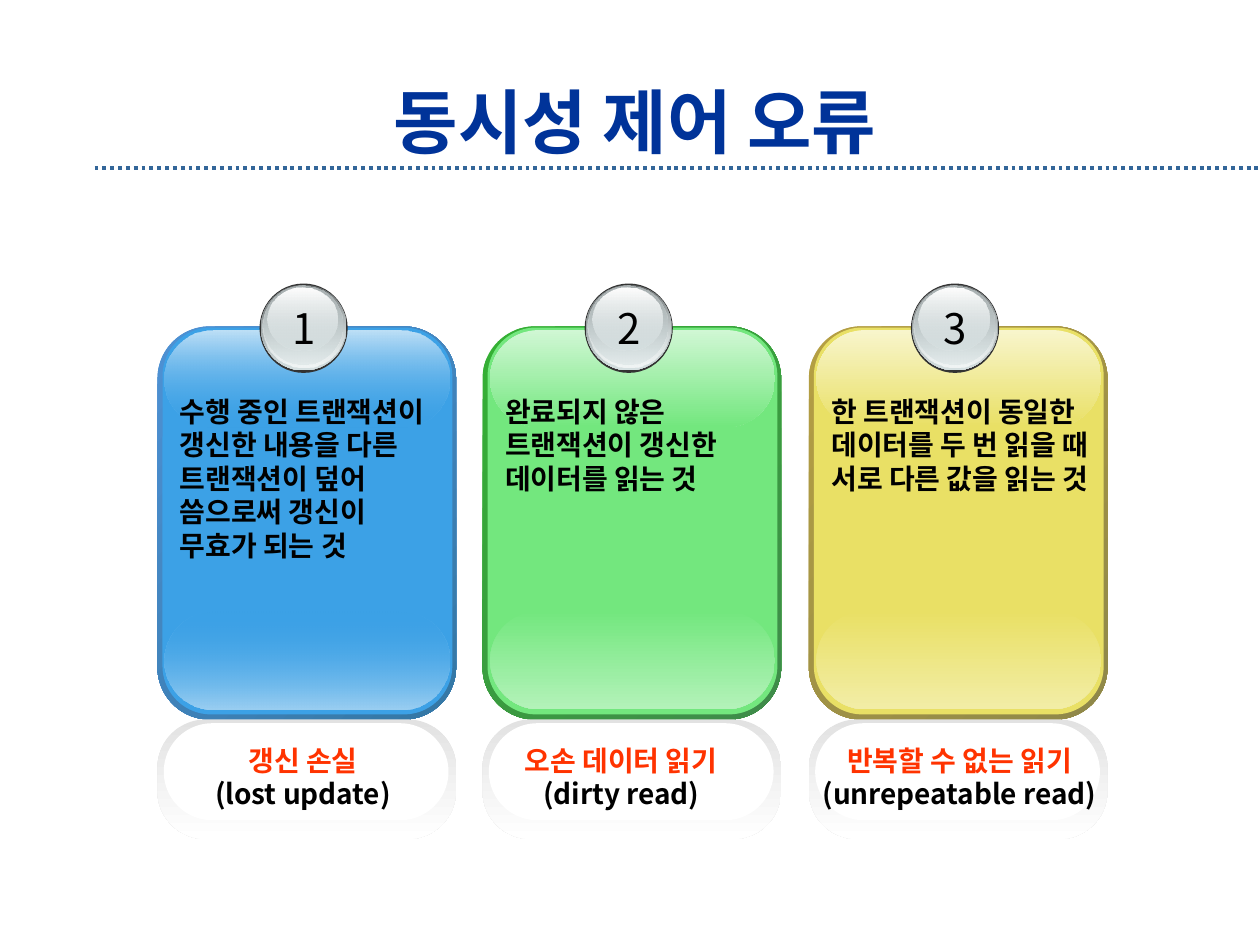
from lxml.etree import SubElement
from pptx import Presentation
from pptx.dml.color import RGBColor
from pptx.enum.dml import MSO_LINE
from pptx.enum.shapes import MSO_CONNECTOR, MSO_SHAPE as SHAPE
from pptx.enum.text import MSO_ANCHOR, PP_ALIGN as ALIGN
from pptx.oxml.ns import qn
from pptx.util import Pt

PX = 9144
FONT = "Noto Sans CJK KR"
BLACK = RGBColor(0x00, 0x00, 0x00)
WHITE = RGBColor(0xFF, 0xFF, 0xFF)
NAVY = RGBColor(0x00, 0x33, 0x99)
STEEL = RGBColor(0x33, 0x66, 0x99)
RED = RGBColor(0xFF, 0x33, 0x00)
SILVER = RGBColor(0xE2, 0xE2, 0xE2)
CHARCOAL = RGBColor(0x33, 0x33, 0x33)
GRAPHITE = RGBColor(0x63, 0x68, 0x69)
MIST = RGBColor(0xD6, 0xE1, 0xE2)
PEARL = RGBColor(0xF1, 0xF5, 0xF5)
ASH = RGBColor(0xAA, 0xB2, 0xB3)
BLUE = RGBColor(0x3C, 0xA1, 0xE6)
BLUE_EDGE = RGBColor(0x4E, 0x91, 0xD4), RGBColor(0x34, 0x77, 0xA4)
BLUE_TOP = RGBColor(0xBE, 0xE0, 0xF7)
BLUE_BASE = RGBColor(0x9B, 0xCF, 0xF2)
GREEN = RGBColor(0x73, 0xE7, 0x7E)
GREEN_EDGE = RGBColor(0x34, 0xB0, 0x34), RGBColor(0x3F, 0x8B, 0x4A)
GREEN_TOP = RGBColor(0xD0, 0xF7, 0xD4)
GREEN_BASE = RGBColor(0xB3, 0xF2, 0xB9)
YELLOW = RGBColor(0xE9, 0xE0, 0x65)
YELLOW_EDGE = RGBColor(0xB5, 0x9F, 0x43), RGBColor(0x8F, 0x88, 0x49)
YELLOW_TOP = RGBColor(0xF8, 0xF5, 0xCC)
YELLOW_BASE = RGBColor(0xF2, 0xED, 0xA6)

CARDS = [
    ("수행 중인 트랜잭션이 갱신한 내용을 다른 트랜잭션이 덮어 씀으로써 갱신이 무효가 되는 것",
     "갱신 손실", "(lost update)", 156, 169, BLUE, BLUE_EDGE, BLUE_TOP, BLUE_BASE, 0),
    ("완료되지 않은 트랜잭션이 갱신한 데이터를 읽는 것",
     "오손 데이터 읽기", "(dirty read)", 398, 190, GREEN, GREEN_EDGE, GREEN_TOP, GREEN_BASE, 100),
    ("한 트랜잭션이 동일한 데이터를 두 번 읽을 때 서로 다른 값을 읽는 것",
     "반복할 수 없는 읽기", "(unrepeatable read)", 609, 305,
     YELLOW, YELLOW_EDGE, YELLOW_TOP, YELLOW_BASE, 100),
]


class Deck:
    """Draw styled elements on the current slide, with lengths in px."""

    def __init__(self, width, height):
        self.prs = Presentation()
        self.prs.slide_width, self.prs.slide_height = width * PX, height * PX
        self.s = self.prs.slides.add_slide(self.prs.slide_layouts[5])

    def style(self, p, size, color, bold, align):
        p.alignment = align
        p.font.size, p.font.bold, p.font.name = Pt(size), bold, FONT
        p.font.color.rgb = color
        SubElement(p.font._element, qn("a:ea")).set("typeface", FONT)

    def title(self, text, x, y, w, h):
        sp = self.s.shapes.title
        sp.left, sp.top, sp.width, sp.height = (v * PX for v in (x, y, w, h))
        tf = sp.text_frame
        tf.text, tf.vertical_anchor = text, MSO_ANCHOR.MIDDLE
        self.style(tf.paragraphs[0], 40, NAVY, True, ALIGN.CENTER)

    def rule(self, x1, x2, y):
        ln = self.s.shapes.add_connector(MSO_CONNECTOR.STRAIGHT, x1 * PX, y * PX, x2 * PX, y * PX)
        ln.line.color.rgb, ln.line.width = STEEL, Pt(2.25)
        ln.line.dash_style = MSO_LINE.ROUND_DOT
        SubElement(ln._element.spPr, qn("a:effectLst"))

    def text(self, lines, x, y, w, h, size=16, bold=True, align=ALIGN.LEFT, wrap=True):
        tf = self.s.shapes.add_textbox(x * PX, y * PX, w * PX, h * PX).text_frame
        tf.word_wrap = wrap
        tf.text = "\n".join(line for line, _ in lines)
        for p, (_, color) in zip(tf.paragraphs, lines):
            self.style(p, size, color, bold, align)

    def shape(self, kind, x, y, w, h, colors, alphas=(100, 100), angle=90, adj=None):
        sp = self.s.shapes.add_shape(kind, x * PX, y * PX, w * PX, h * PX)
        sp.shadow.inherit = False
        sp.line.fill.background()
        if adj is not None:
            sp.adjustments[0] = adj
        if len(colors) == 1:
            sp.fill.solid()
            sp.fill.fore_color.rgb = colors[0]
            return
        sp.fill.gradient()
        sp.fill.gradient_angle = 360 - angle
        for stop, color, alpha in zip(sp.fill.gradient_stops, colors, alphas):
            stop.color.rgb = color
            if alpha < 100:
                clr = stop._gs.find(qn("a:srgbClr"))
                SubElement(clr, qn("a:alpha")).set("val", str(alpha * 1000))

    def panel(self, x, y, w, h, adj, colors, **kw):
        self.shape(SHAPE.ROUNDED_RECTANGLE, x, y, w, h, colors, adj=adj, **kw)

    def badge(self, x, number):
        for dx, y, w, h, colors, alphas in [
            (0, 225, 70, 71, [CHARCOAL], None),
            (1, 226, 68, 68, [GRAPHITE, MIST], (100, 100)),
            (2, 226, 66, 66, [MIST, PEARL], (0, 100)),
            (3, 227, 63, 62, [ASH, MIST], (100, 48)),
            (6, 228, 56, 50, [WHITE, MIST], (100, 38)),
        ]:
            self.shape(SHAPE.OVAL, x + dx, y, w, h, colors, alphas)
        self.text([(str(number), BLACK)], x + 16, 235, 41, 51, 24, False, wrap=False)

    def card(self, x, number, body, fill, edge, top, base, fade):
        self.panel(x, 259, 237, 312, 0.175, edge, angle=45)
        self.panel(x + 4, 260, 230, 307, 0.167, [fill])
        self.panel(x + 6, 485, 226, 78, 0.5, [fill, base], alphas=(fade, 100))
        self.panel(x + 6, 262, 226, 77, 0.5, [top, fill], alphas=(100, fade))
        self.panel(x, 571, 237, 95, 0.404, [SILVER, WHITE])
        self.panel(x + 5, 574, 226, 77, 0.5, [WHITE])
        self.badge(x + 81, number)
        self.text([(body, BLACK)], x + 8, 308, 225, 145)


def main():
    deck = Deck(1000, 750)
    deck.rule(75, 1000, 133)
    deck.title("동시성 제어 오류", 75, 67, 858, 58)
    for i, (body, name, english, left, width, *colors) in enumerate(CARDS):
        deck.card(125 + 517 * i // 2, i + 1, body, *colors)
        deck.text([(name, RED), (english, BLACK)], left, 585, width, 64, align=ALIGN.CENTER)
    deck.prs.save("out.pptx")


if __name__ == "__main__":
    main()
